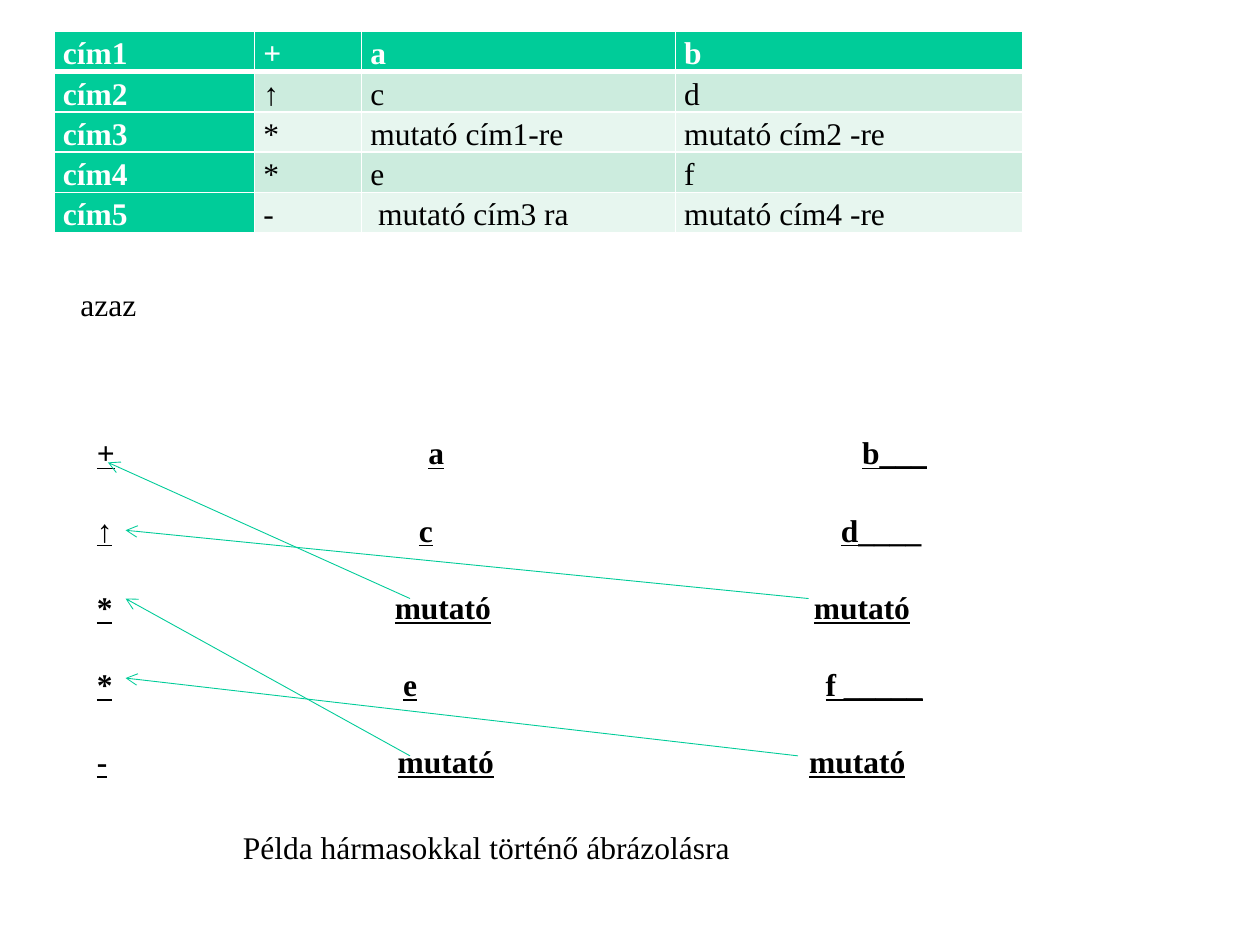
from dataclasses import dataclass

from lxml import etree
from pptx import Presentation
from pptx import util as u
from pptx.dml.color import RGBColor
from pptx.enum import shapes, text
from pptx.oxml import ns


@dataclass(frozen=True)
class Theme:
    face: str = "Times New Roman"
    size: int = 18
    green: str = "00CC99"
    bands: tuple = ("E7F6EF", "CCECDE")
    white: str = "FFFFFF"
    black: str = "000000"
    thin: float = 1
    thick: float = 3
    arrow: float = 0.5


@dataclass(frozen=True)
class Box:
    x: int
    y: int
    w: int
    h: int

    def inner(self, x, y, w=0, h=0):
        """Return the inner box given in percent of this one."""
        return Box(self.x + int(self.w * x / 100), self.y + int(self.h * y / 100),
                   int(self.w * w / 100), int(self.h * h / 100))


THEME = Theme()
PAGE = Box(0, 0, u.Inches(10), u.Inches(7.5))

CODES = [
    ("cím1", "+", "a", "b"),
    ("cím2", "↑", "c", "d"),
    ("cím3", "*", "mutató cím1-re", "mutató cím2 -re"),
    ("cím4", "*", "e", "f"),
    ("cím5", "-", " mutató cím3 ra", "mutató cím4 -re"),
]
WIDTHS = (1.59, 0.85, 2.49, 2.76)

# Each triple with its two tab stops, in percent of the box width
TRIPLES = [
    (("+", "a", "b___"), (28.2, 65.1)),
    (("↑", "c", "d____"), (27.4, 63.3)),
    (("*", "mutató", "mutató"), (25.35, 61)),
    (("*", "e", "f _____"), (26.05, 62)),
    (("-", "mutató", "mutató"), (25.6, 60.6)),
]
# Tail and head points, in percent of the box
LINKS = [
    ((27.7, 48.7), (2, 17.2)),
    ((61.6, 48.7), (3.5, 32.9)),
    ((27.7, 85.1), (3.5, 48.7)),
    ((60.7, 85.1), (3.5, 67.1)),
]


def ink(para, color=THEME.black, bold=False, under=False):
    for run in para.runs:
        font = run.font
        font.name, font.size = THEME.face, u.Pt(THEME.size)
        font.bold, font.underline = bold, under
        font.color.rgb = RGBColor.from_string(color)


def edge(cell, side, width):
    line = etree.SubElement(cell._tc.get_or_add_tcPr(), ns.qn(f"a:ln{side}"),
                            w=str(u.Pt(width)))
    fill = etree.SubElement(line, ns.qn("a:solidFill"))
    etree.SubElement(fill, ns.qn("a:srgbClr"), val=THEME.white)


def code_table(slide, box):
    table = slide.shapes.add_table(len(CODES), len(WIDTHS),
                                   box.x, box.y, box.w, box.h).table
    for col, width in zip(table.columns, WIDTHS):
        col.width = int(box.w * width / sum(WIDTHS))
    for r, row in enumerate(CODES):
        table.rows[r].height = box.h // len(CODES)
        for c, word in enumerate(row):
            cell = table.cell(r, c)
            head = r == 0 or c == 0
            for side in "LRTB":
                heavy = (r, side) in ((0, "B"), (1, "T"))
                edge(cell, side, THEME.thick if heavy else THEME.thin)
            cell.fill.solid()
            cell.fill.fore_color.rgb = RGBColor.from_string(
                THEME.green if head else THEME.bands[r % 2])
            cell.margin_left = cell.margin_right = u.Inches(0.07)
            cell.margin_top = cell.margin_bottom = 0
            cell.text_frame.text = word
            para = cell.text_frame.paragraphs[0]
            para.line_spacing = 1.15
            ink(para, THEME.white if head else THEME.black, bold=head)


def label(slide, box, words):
    frame = slide.shapes.add_textbox(box.x, box.y, box.w, box.h).text_frame
    frame.word_wrap = False
    frame.text = words
    ink(frame.paragraphs[0])


def set_tabs(para, stops):
    tabs = etree.SubElement(para._p.get_or_add_pPr(), ns.qn("a:tabLst"))
    for stop in stops:
        etree.SubElement(tabs, ns.qn("a:tab"), pos=str(stop), algn="l")


def link(slide, start, end):
    line = slide.shapes.add_connector(shapes.MSO_CONNECTOR.STRAIGHT,
                                      start.x, start.y, end.x, end.y)
    line.line.color.rgb = RGBColor.from_string(THEME.green)
    line.line.width = u.Pt(THEME.arrow)
    props = line._element.spPr
    etree.SubElement(props.find(ns.qn("a:ln")), ns.qn("a:tailEnd"), type="arrow")
    etree.SubElement(props, ns.qn("a:effectLst"))


def triples(slide, box):
    """Draw the tabbed triples and the arrows that link them."""
    frame = slide.shapes.add_textbox(box.x, box.y, box.w, box.h).text_frame
    frame.word_wrap = True
    frame.vertical_anchor = text.MSO_ANCHOR.TOP
    frame.margin_top = u.Inches(0.36)
    for i, (words, stops) in enumerate(TRIPLES):
        para = frame.add_paragraph() if i else frame.paragraphs[0]
        set_tabs(para, [int(box.w * stop / 100) for stop in stops])
        para.text = "\t".join(words)
        if i:
            para.space_before = u.Pt(22.5)
        ink(para, bold=True, under=True)
    for start, end in LINKS:
        link(slide, box.inner(*start), box.inner(*end))


def main():
    deck = Presentation()
    deck.slide_width, deck.slide_height = PAGE.w, PAGE.h
    slide = deck.slides.add_slide(deck.slide_layouts[6])
    code_table(slide, PAGE.inner(4.3, 3.33, 76.9, 21.3))
    label(slide, PAGE.inner(5.4, 29.47, 6.5, 5.33), "azaz")
    triples(slide, PAGE.inner(6.7, 41.07, 93.3, 45.73))
    label(slide, PAGE.inner(18.3, 86.93, 41.8, 5.33),
          "Példa hármasokkal történő ábrázolásra")
    deck.save("out.pptx")


if __name__ == "__main__":
    main()
